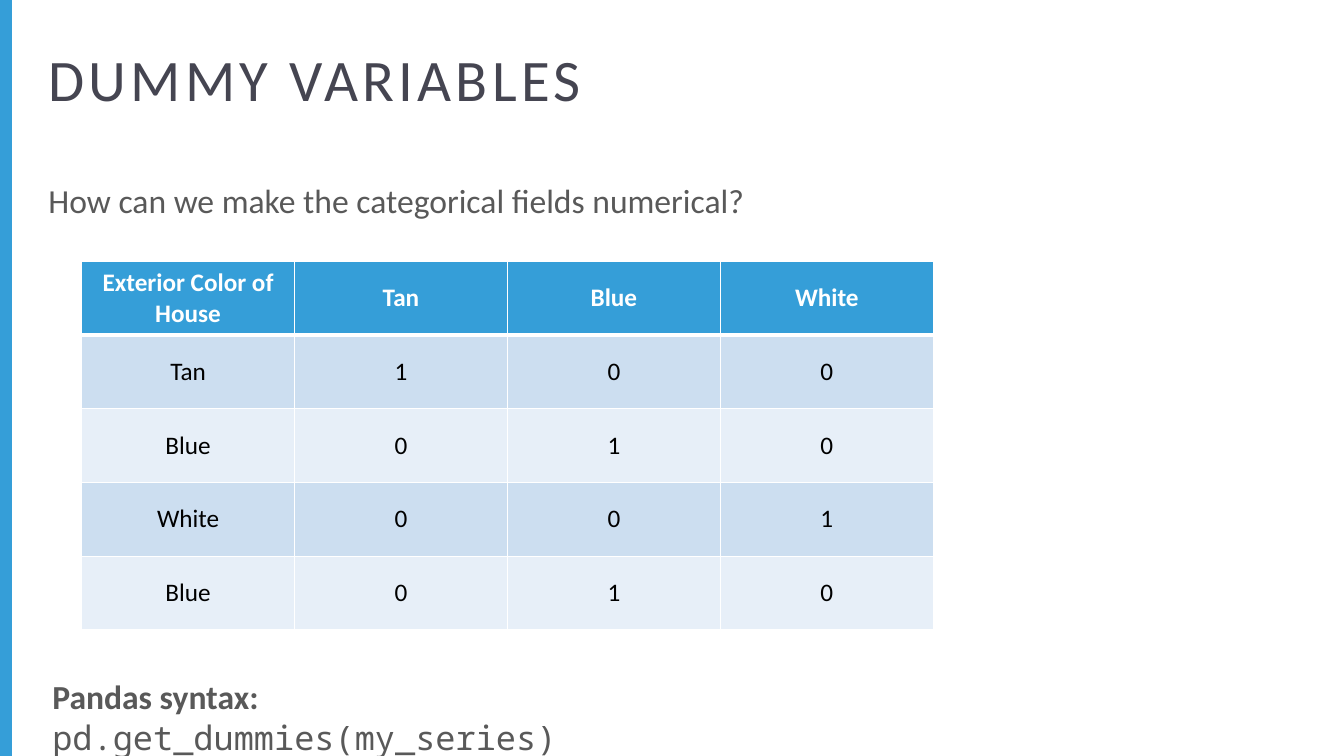
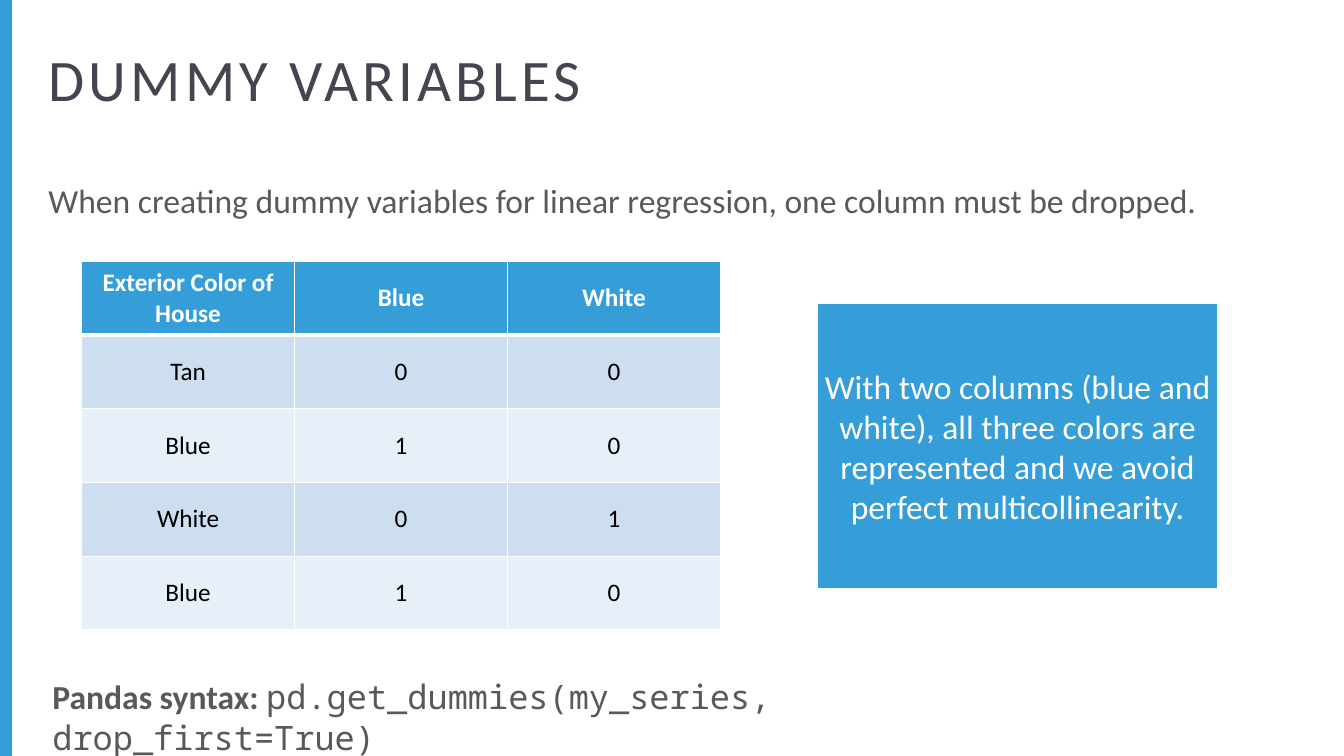
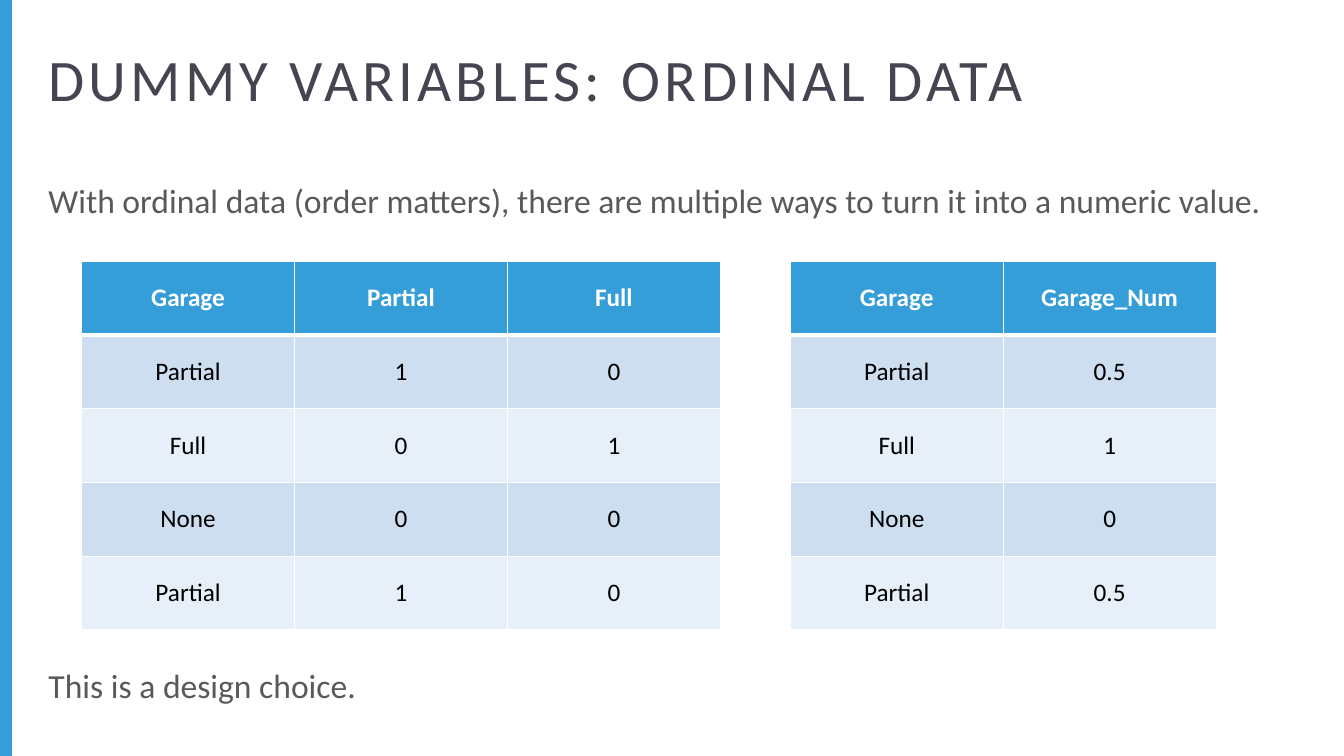
from lxml import etree
from pptx import Presentation
from pptx.dml.color import RGBColor
from pptx.enum.shapes import MSO_SHAPE
from pptx.enum.text import MSO_ANCHOR, PP_ALIGN
from pptx.oxml.ns import qn
from pptx.util import Pt

RECT = MSO_SHAPE.RECTANGLE
TOP, MIDDLE = MSO_ANCHOR.TOP, MSO_ANCHOR.MIDDLE
LEFT, CENTER = PP_ALIGN.LEFT, PP_ALIGN.CENTER

BLUE = RGBColor(0x35, 0x9E, 0xD8)
TITLE_INK = RGBColor(0x45, 0x45, 0x51)
BODY_INK = RGBColor(0x59, 0x59, 0x59)
WHITE = RGBColor(0xFF, 0xFF, 0xFF)
BLACK = RGBColor(0, 0, 0)
BANDS = (RGBColor(0xCC, 0xDE, 0xF0), RGBColor(0xE7, 0xEF, 0xF8))

SANS, MONO = "Calibri", "Noto Sans Mono"
SLIDE_W, SLIDE_H = 960, 540
MARGIN = 31
BODY_W, BODY_H = 939.6, 59.8
TABLE_LEFT, TABLE_TOP = 58.3, 186.5
COL_W, ROW_H = 152.1, 52.7
CALLOUT_BOX = (583.2, 216, 287.3, 205.2)

SLIDES = [
    {
        "title": "DUMMY VARIABLES",
        "lead": "How can we make the categorical fields numerical?",
        "tables": [(TABLE_LEFT, [
            ("Exterior Color of House", "Tan", "Blue", "White"),
            ("Tan", "1", "0", "0"),
            ("Blue", "0", "1", "0"),
            ("White", "0", "0", "1"),
            ("Blue", "0", "1", "0"),
        ])],
        "code": ("pd.get_dummies(my_series)", 463.7),
    },
    {
        "title": "DUMMY VARIABLES",
        "lead": "When creating dummy variables for linear regression, "
                "one column must be dropped.",
        "tables": [(TABLE_LEFT, [
            ("Exterior Color of House", "Blue", "White"),
            ("Tan", "0", "0"),
            ("Blue", "1", "0"),
            ("White", "0", "1"),
            ("Blue", "1", "0"),
        ])],
        "callout": "With two columns (blue and white), all three colors are "
                   "represented and we avoid perfect multicollinearity.",
        "code": ("pd.get_dummies(my_series, drop_first=True)", 639.4),
    },
    {
        "title": "DUMMY VARIABLES: ORDINAL DATA",
        "lead": "With ordinal data (order matters), there are multiple ways "
                "to turn it into a numeric value.",
        "tables": [
            (TABLE_LEFT, [
                ("Garage", "Partial", "Full"),
                ("Partial", "1", "0"),
                ("Full", "0", "1"),
                ("None", "0", "0"),
                ("Partial", "1", "0"),
            ]),
            (564.5, [
                ("Garage", "Garage_Num"),
                ("Partial", "0.5"),
                ("Full", "1"),
                ("None", "0"),
                ("Partial", "0.5"),
            ]),
        ],
        "closing": "This is a design choice.",
    },
]


def write(tf, runs, size=24, color=BODY_INK, bold=False, align=LEFT,
          anchor=TOP, inset=3.6, before=0, tracking=0):
    """Fill a text frame; runs is a string or a list of (text, font, bold)."""
    if isinstance(runs, str):
        runs = [(runs, SANS, bold)]
    tf.word_wrap = True
    tf.vertical_anchor = anchor
    tf.margin_left = tf.margin_right = Pt(inset)
    tf.margin_top = tf.margin_bottom = Pt(inset)
    p = tf.paragraphs[0]
    p.alignment = align
    p.space_before = Pt(before)
    for text, font, is_bold in runs:
        r = p.add_run()
        r.text = text
        r.font.name, r.font.size, r.font.bold = font, Pt(size), is_bold
        r.font.color.rgb = color
        if tracking:
            r.font._element.set("spc", str(tracking * 100))


def add_text(s, box, runs, **fmt):
    write(s.shapes.add_textbox(*map(Pt, box)).text_frame, runs, **fmt)


def add_box(s, box, line=None):
    sp = s.shapes.add_shape(RECT, *map(Pt, box))
    sp.shadow.inherit = False
    sp.fill.solid()
    sp.fill.fore_color.rgb = BLUE
    if line:
        sp.line.color.rgb = WHITE
        sp.line.width = Pt(line)
    else:
        sp.line.fill.background()
    return sp


def set_borders(cell, top, bottom):
    """Draw white borders; the side ones are one point wide."""
    tc_pr = cell._tc.get_or_add_tcPr()
    sides = (("L", 1), ("R", 1), ("T", top), ("B", bottom))
    for i, (side, width) in enumerate(sides):
        ln = etree.Element(qn(f"a:ln{side}"), w=str(Pt(width)))
        fill = etree.SubElement(ln, qn("a:solidFill"))
        etree.SubElement(fill, qn("a:srgbClr"), val=str(WHITE))
        tc_pr.insert(i, ln)


def add_data_table(s, left, rows):
    n_rows, n_cols = len(rows), len(rows[0])
    table = s.shapes.add_table(n_rows, n_cols, Pt(left), Pt(TABLE_TOP),
                               Pt(COL_W * n_cols), Pt(ROW_H * n_rows)).table
    for column in table.columns:
        column.width = Pt(COL_W)
    for i, row in enumerate(rows):
        table.rows[i].height = Pt(ROW_H)
        header = i == 0
        for j, value in enumerate(row):
            cell = table.cell(i, j)
            cell.fill.solid()
            cell.fill.fore_color.rgb = BLUE if header else BANDS[(i - 1) % 2]
            set_borders(cell, top=3 if i == 1 else 1, bottom=3 if header else 1)
            write(cell.text_frame, value, size=18, bold=header, align=CENTER,
                  color=WHITE if header else BLACK, inset=0)
            cell.vertical_anchor = MIDDLE
            cell.margin_left = cell.margin_right = 0
            cell.margin_top = cell.margin_bottom = 0


def add_slide(prs, content):
    s = prs.slides.add_slide(prs.slide_layouts[6])
    add_box(s, (0, 0, 8.6, SLIDE_H))
    add_text(s, (MARGIN, 27, 905.8, 77.8), content["title"], size=42,
             color=TITLE_INK, tracking=3)
    add_text(s, (MARGIN, 125.3, BODY_W, BODY_H), content["lead"], before=10)
    for left, rows in content["tables"]:
        add_data_table(s, left, rows)
    if "callout" in content:
        write(add_box(s, CALLOUT_BOX, line=2.25).text_frame,
              content["callout"], color=WHITE, align=CENTER, anchor=MIDDLE)
    if "code" in content:
        code, width = content["code"]
        add_text(s, (33.8, 479.5, width, 36.7),
                 [("Pandas syntax: ", SANS, True), (code, MONO, False)],
                 before=10)
    if "closing" in content:
        add_text(s, (MARGIN, 471.6, BODY_W, BODY_H), content["closing"],
                 before=10)


def main():
    prs = Presentation()
    prs.slide_width, prs.slide_height = Pt(SLIDE_W), Pt(SLIDE_H)
    for content in SLIDES:
        add_slide(prs, content)
    prs.save("out.pptx")


if __name__ == "__main__":
    main()
